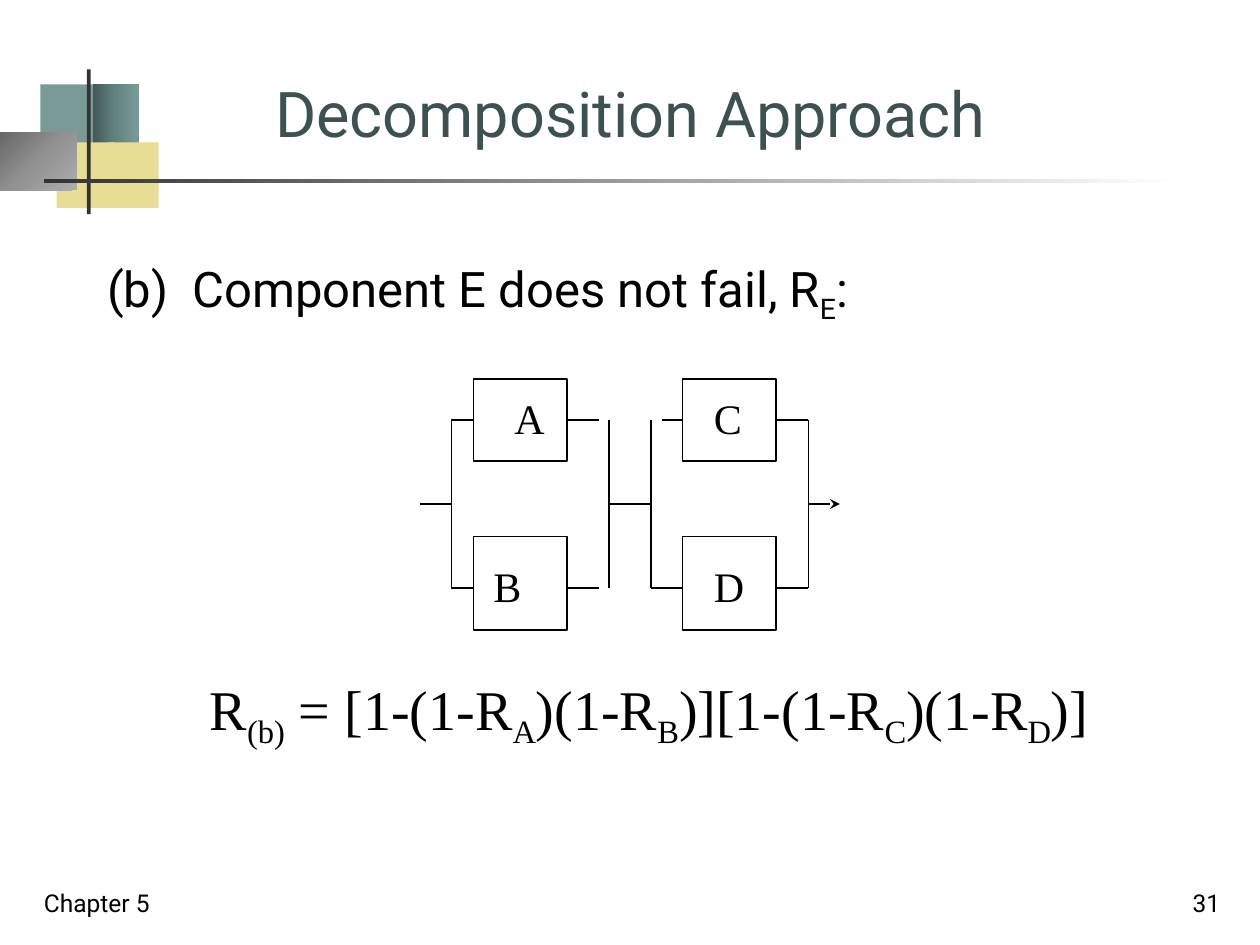
from typing import NamedTuple, Optional

from lxml.etree import SubElement
from pptx import Presentation
from pptx.dml.color import RGBColor
from pptx.enum.shapes import MSO_CONNECTOR, MSO_SHAPE
from pptx.enum.text import MSO_ANCHOR, MSO_AUTO_SIZE, PP_ALIGN
from pptx.oxml.ns import qn
from pptx.util import Inches, Pt

COLORS = {
    "teal": "7A9A98", "sand": "E7DD95", "bar": "333333",
    "title": "3D5150", "ink": "000000",
}
TEAL_FADE = ((0, "435958"), (50, "638381"), (100, "789C9A"))
GRAY_FADE = ((0, "676767"), (50, "929292"), (100, "ADADAD"))
RULE_FADE = ((0, "333333"), (100, "FFFFFF"))
SANS, SERIF = "Roboto", "Times New Roman"
CELLS_PER_INCH = 12  # every position is a column or row of this grid


class Area(NamedTuple):
    column: float
    row: float
    columns: float
    rows: float


class Block(NamedTuple):
    area: Area
    color: Optional[str] = None
    fade: tuple = ()
    radial: bool = False


class Wire(NamedTuple):
    start: tuple
    end: tuple
    arrow: bool = False


class Label(NamedTuple):
    area: Area
    pieces: tuple  # normal and subscript text in turn
    size: int
    font: str
    color: str = "ink"
    frame: dict = {}
    align: PP_ALIGN = PP_ALIGN.LEFT


LOOSE = {"word_wrap": False, "auto_size": MSO_AUTO_SIZE.SHAPE_TO_FIT_TEXT}
FIXED = {"word_wrap": True, "auto_size": MSO_AUTO_SIZE.NONE}
LOW = {**FIXED, "vertical_anchor": MSO_ANCHOR.BOTTOM}
HIGH = {**FIXED, "vertical_anchor": MSO_ANCHOR.TOP}

DECORATION = (
    Block(Area(3.84, 8.04, 5.76, 6.24), "teal"),
    Block(Area(8.88, 8.04, 4.32, 6.24), fade=TEAL_FADE),
    Block(Area(5.4, 13.56, 5.52, 6.24), "sand"),
    Block(Area(10.32, 13.56, 4.8, 6.24), "sand"),
    Block(Area(0, 12.6, 7.32, 5.52), fade=GRAY_FADE, radial=True),
    Block(Area(8.28, 6.6, 0.36, 13.8), "bar"),
    Block(Area(4.2, 17.04, 108, 0.36), fade=RULE_FADE),
)

TITLE = Label(Area(25, 6, 71.9, 8.9), ("Decomposition Approach",), 36, SANS, "title", LOW)
BODY = Label(Area(9, 24, 102, 54),
             ("(b)  Component E does not fail, R", "E", ":"), 28, SANS, frame=HIGH)
TEXTS = (
    Label(Area(3, 82, 25, 6), ("Chapter 5",), 14, SANS, frame=LOW),
    Label(Area(92.4, 82, 25, 6), ("31",), 14, SANS, frame=LOW, align=PP_ALIGN.RIGHT),
    Label(Area(18.8, 63.6, 87.6, 7.6),
          ("R", "(b)", " = [1-(1-R", "A", ")(1-R", "B", ")][1-(1-R", "C",
           ")(1-R", "D", ")]"), 32, SERIF, frame=LOOSE),
)

# Circuit: two parallel pairs in series
TOP, MIDDLE, BOTTOM = 40, 48, 56
COMPONENTS = tuple(Area(column, row, 8.9, rows)
                   for column in (45.1, 65)
                   for row, rows in ((36.1, 7.8), (51.1, 8.9)))
LETTERS = (("A", 47.8, 36.8), ("B", 45.8, 52.8), ("C", 66.8, 36.8), ("D", 66.8, 52.8))
BUSES = (43, 58, 62, 77)
BRANCHES = {TOP: ((43, 45), (54, 57), (63, 65), (74, 77)),
            BOTTOM: ((43, 45), (54, 57), (62, 65), (74, 77))}
WIRES = (
    *(Wire((bus, TOP), (bus, BOTTOM)) for bus in BUSES),
    *(Wire((first, row), (last, row))
      for row, spans in BRANCHES.items() for first, last in spans),
    Wire((40, MIDDLE), (43, MIDDLE)),
    Wire((58, MIDDLE), (62, MIDDLE)),
    Wire((77, MIDDLE), (80, MIDDLE), arrow=True),
)


def cells(*counts: float) -> list:
    return [Inches(count / CELLS_PER_INCH) for count in counts]


def rgb(name: str) -> RGBColor:
    return RGBColor.from_string(COLORS[name])


def apply(target, values: dict) -> None:
    for name, value in values.items():
        setattr(target, name, value)


def add_box(page, area: Area):
    box = page.shapes.add_shape(MSO_SHAPE.RECTANGLE, *cells(*area))
    box.shadow.inherit = False
    box.fill.background()
    return box


def fade_fill(box, block: Block) -> None:
    properties = box._element.spPr
    gradient = SubElement(properties, qn("a:gradFill"), rotWithShape="1")
    stops = SubElement(gradient, qn("a:gsLst"))
    for place, color in block.fade:
        stop = SubElement(stops, qn("a:gs"), pos=str(place * 1000))
        SubElement(stop, qn("a:srgbClr"), val=color)
    if block.radial:
        circle = SubElement(gradient, qn("a:path"), {"path": "circle"})
        SubElement(circle, qn("a:fillToRect"), r="100000", b="100000")
    else:
        SubElement(gradient, qn("a:lin"), ang="0", scaled="1")
    properties.replace(properties.find(qn("a:noFill")), gradient)


def draw_block(page, block: Block) -> None:
    box = add_box(page, block.area)
    box.line.fill.background()
    if block.fade:
        fade_fill(box, block)
    else:
        box.fill.solid()
        box.fill.fore_color.rgb = rgb(block.color)


def draw_component(page, area: Area) -> None:
    box = add_box(page, area)
    box.line.color.rgb = rgb("ink")
    box.line.width = Pt(1)


def draw_wire(page, wire: Wire) -> None:
    line = page.shapes.add_connector(MSO_CONNECTOR.STRAIGHT, *cells(*wire.start, *wire.end))
    line.line.color.rgb = rgb("ink")
    line.line.width = Pt(1)
    if wire.arrow:
        SubElement(line.line._get_or_add_ln(), qn("a:tailEnd"), type="stealth")
    SubElement(line._element.spPr, qn("a:effectLst"))


def write_label(box, label: Label):
    apply(box, dict(zip(("left", "top", "width", "height"), cells(*label.area))))
    apply(box.text_frame, label.frame)
    para = box.text_frame.paragraphs[0]
    apply(para, {"alignment": label.align, "space_before": Pt(0)})
    for index, text in enumerate(label.pieces):
        span = para.add_run()
        span.text = text
        apply(span.font, {"size": Pt(label.size), "name": label.font})
        span.font.color.rgb = rgb(label.color)
        if index % 2:
            span._r.get_or_add_rPr().set("baseline", "-25000")
    return para


def draw_label(page, label: Label) -> None:
    write_label(page.shapes.add_textbox(*cells(*label.area)), label)


def main() -> None:
    deck = Presentation()
    deck.slide_width, deck.slide_height = Inches(10), Inches(7.5)
    page = deck.slides.add_slide(deck.slide_layouts[1])

    # Template decoration
    for block in DECORATION:
        draw_block(page, block)

    # Title and statement
    write_label(page.shapes.title, TITLE)
    statement = write_label(page.placeholders[1], BODY)
    properties = statement._p.get_or_add_pPr()
    for name, inches in {"marL": 0.38, "indent": -0.38}.items():
        properties.set(name, str(Inches(inches)))
    SubElement(properties, qn("a:buNone"))

    # Block diagram
    for area in COMPONENTS:
        draw_component(page, area)
    for wire in WIRES:
        draw_wire(page, wire)
    for letter, column, row in LETTERS:
        draw_label(page, Label(Area(column, row, 5.2, 6), (letter,), 24, SERIF, frame=LOOSE))

    # Formula and footer
    for label in TEXTS:
        draw_label(page, label)

    deck.save("out.pptx")


if __name__ == "__main__":
    main()
